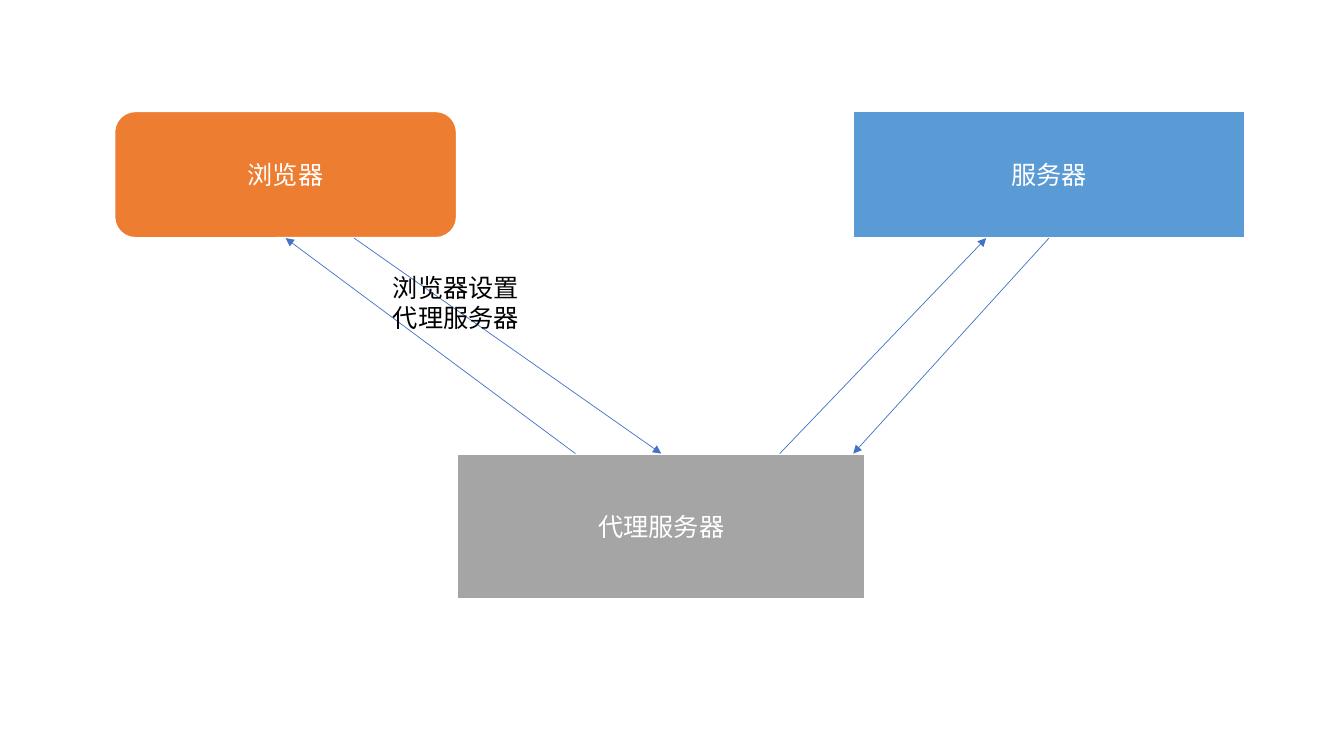
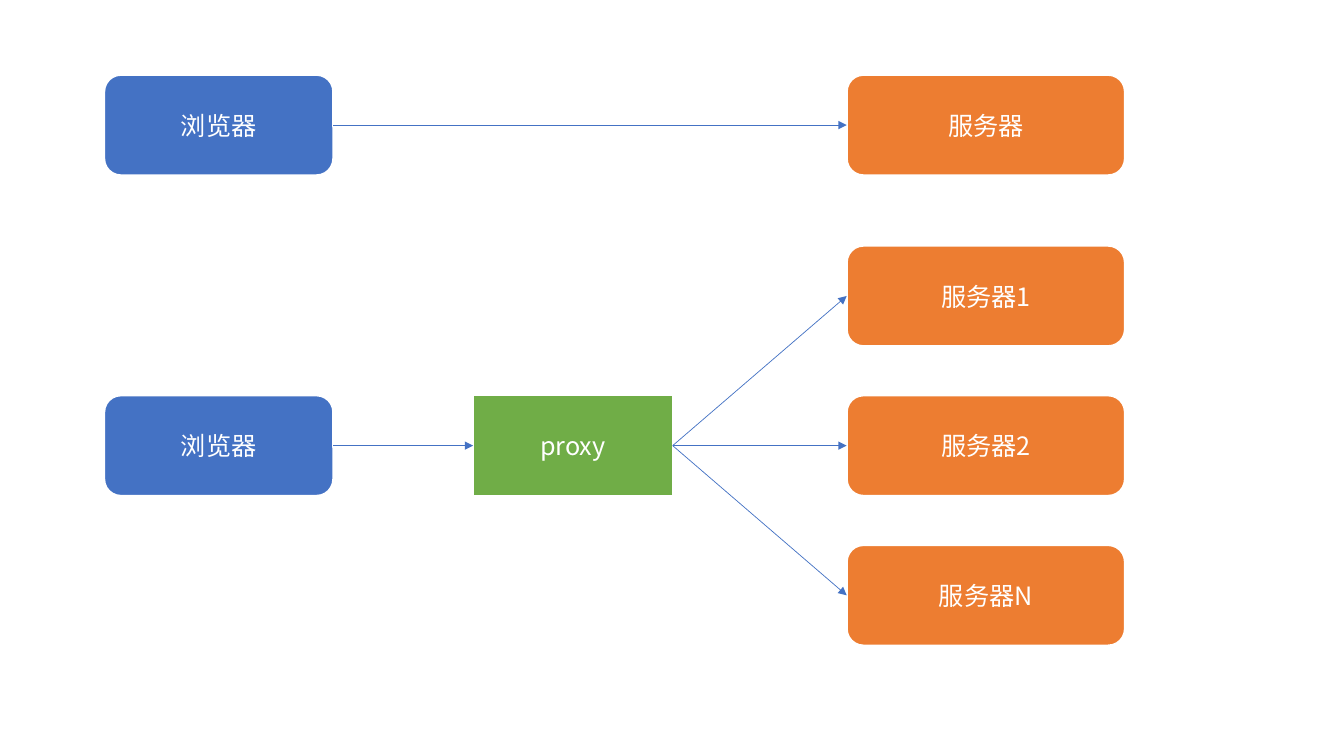
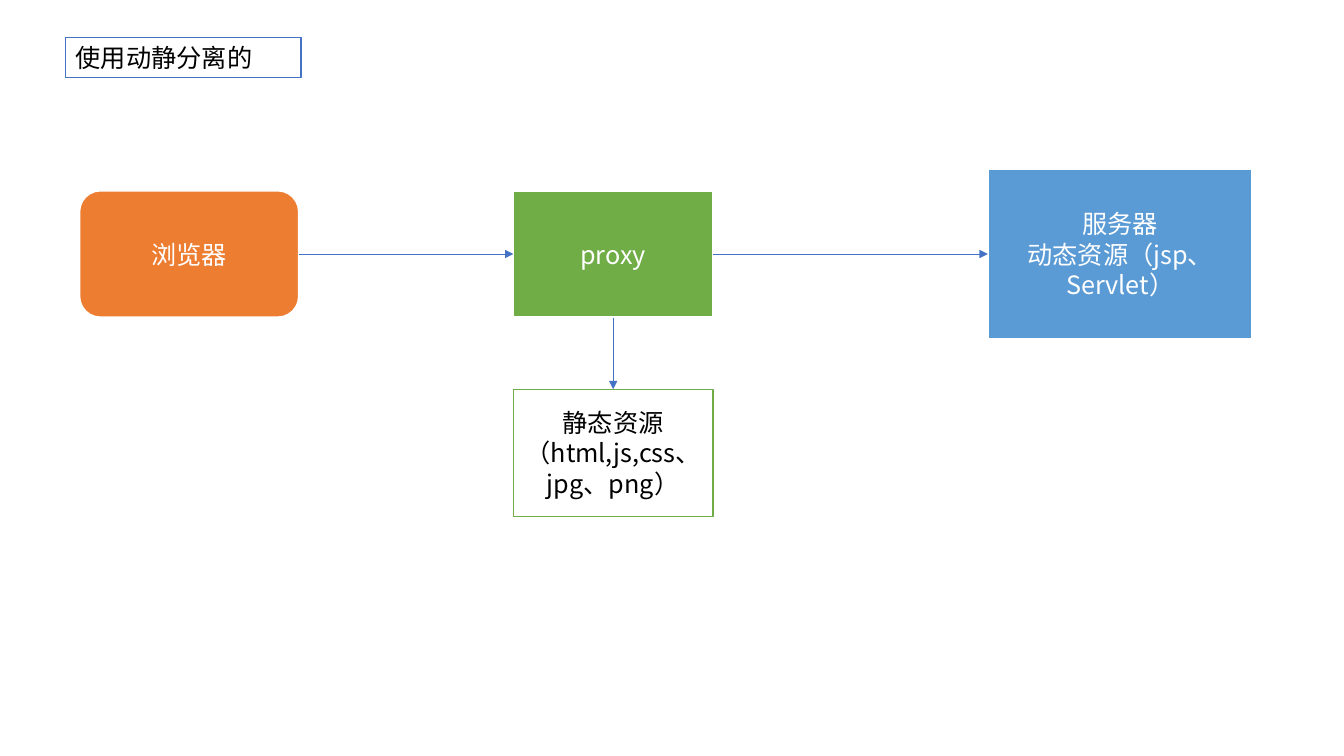
from dataclasses import dataclass
from itertools import pairwise
from typing import Optional

from lxml.etree import SubElement
from pptx import Presentation
from pptx.dml.color import RGBColor as Rgb
from pptx.enum.lang import MSO_LANGUAGE_ID as Lang
from pptx.enum.shapes import MSO_CONNECTOR as Link, MSO_SHAPE as Kind
from pptx.enum.text import MSO_ANCHOR as Anchor, MSO_AUTO_SIZE as Fit, PP_ALIGN as Align
from pptx.oxml.ns import qn
from pptx.util import Inches, Pt

WIDE, HIGH = Inches(13.33), Inches(7.5)
FACE = "Noto Sans CJK SC"
HUES = {
    "white": "FFFFFF", "black": "000000", "blue": "4472C4", "sky": "5B9BD5",
    "orange": "ED7D31", "gray": "A5A5A5", "green": "70AD47",
}
FONT = {"size": Pt(18), "name": FACE, "language_id": Lang.SIMPLIFIED_CHINESE}
MID = {"vertical_anchor": Anchor.MIDDLE, "word_wrap": True}
TOP = {"vertical_anchor": Anchor.TOP, "word_wrap": True, "auto_size": Fit.SHAPE_TO_FIT_TEXT}
LOOSE = TOP | {"word_wrap": False}


@dataclass(frozen=True)
class Look:
    fill: Optional[str] = None
    line: Optional[str] = "white"
    width: float = 1.5
    ink: str = "white"
    kind: Kind = Kind.RECTANGLE
    align: Align = Align.CENTER


@dataclass(frozen=True)
class Box:
    """A labelled block; lengths are percent of the slide's width and height."""
    text: str
    x: float
    y: float
    w: float
    h: float
    look: Look

    def spot(self, across: float, down: float) -> tuple[float, float]:
        return self.x + self.w * across, self.y + self.h * down


@dataclass(frozen=True)
class Arrow:
    """An arrow between two boxes; each end is a share of its box."""
    tail: Box
    start: tuple[float, float]
    head: Box
    end: tuple[float, float]


LEFT, RIGHT, UPPER, LOWER = (0, 0.5), (1, 0.5), (0.5, 0), (0.5, 1)


def block(hue: str, kind: Kind = Kind.RECTANGLE) -> Look:
    return Look(hue, kind=kind)


def pill(hue: str) -> Look:
    return block(hue, Kind.ROUNDED_RECTANGLE)


def rgb(hue: str) -> Rgb:
    return Rgb.from_string(HUES[hue])


def px(share: float) -> int:
    return round(WIDE * share / 100)


def py(share: float) -> int:
    return round(HIGH * share / 100)


def write(frame, text: str, look: Look, form: dict) -> None:
    for key, val in form.items():
        setattr(frame, key, val)
    frame.text = text
    for para in frame.paragraphs:
        para.alignment = look.align
        for run in para.runs:
            for key, val in FONT.items():
                setattr(run.font, key, val)
            run.font.color.rgb = rgb(look.ink)
            SubElement(run.font._element, qn("a:ea")).set("typeface", FACE)


def draw(slide, box: Box, form: dict = MID) -> None:
    look = box.look
    area = px(box.x), py(box.y), px(box.w), py(box.h)
    if look.line is None:
        shape = slide.shapes.add_textbox(*area)
    else:
        shape = slide.shapes.add_shape(look.kind, *area)
        shape.shadow.inherit = False
        shape.line.color.rgb = rgb(look.line)
        shape.line.width = Pt(look.width)
        if look.fill:
            shape.fill.solid()
            shape.fill.fore_color.rgb = rgb(look.fill)
        else:
            shape.fill.background()
    write(shape.text_frame, box.text, look, form)


def join(slide, arrow: Arrow) -> None:
    (x1, y1), (x2, y2) = arrow.tail.spot(*arrow.start), arrow.head.spot(*arrow.end)
    line = slide.shapes.add_connector(Link.STRAIGHT, px(x1), py(y1), px(x2), py(y2))
    line.line.color.rgb = rgb("blue")
    line.line.width = Pt(0.5)
    prop = line._element.spPr
    SubElement(prop.find(qn("a:ln")), qn("a:tailEnd")).set("type", "triangle")
    SubElement(prop, qn("a:effectLst"))


def chart(deck, boxes: list[Box], arrows: list[Arrow]):
    """Add a blank slide holding the boxes and the arrows between them."""
    slide = deck.slides.add_slide(deck.slide_layouts[6])
    for box in boxes:
        draw(slide, box)
    for arrow in arrows:
        join(slide, arrow)
    return slide


def forward(deck) -> None:
    client = Box("浏览器", 8.5, 14.7, 25.5, 16.8, pill("orange"))
    server = Box("服务器", 63.45, 14.7, 29.2, 16.8, block("sky"))
    proxy = Box("代理服务器", 34, 60, 30.4, 19.2, block("gray"))
    slide = chart(deck, [client, server, proxy], [
        Arrow(client, (0.7, 1), proxy, UPPER),
        Arrow(proxy, (0.29, 0), client, LOWER),
        Arrow(proxy, (0.79, 0), server, (0.34, 1)),
        Arrow(server, LOWER, proxy, (0.97, 0)),
    ])
    plain = Look(line=None, ink="black", align=Align.LEFT)
    draw(slide, Box("浏览器设置\n代理服务器", 28.5, 35.35, 10.95, 9.5, plain), LOOSE)


def balance(deck) -> None:
    first, mid, step, tall = 9.9, 52.3, 19.8, 13.3
    clients = [Box("浏览器", 7.75, y, 17.05, tall, pill("blue")) for y in (first, mid)]
    proxy = Box("proxy", 35.2, mid, 14.85, tall, block("green"))
    rows = [("", first)] + [(mark, mid + step * n) for n, mark in zip((-1, 0, 1), "12N")]
    single, *pool = [Box(f"服务器{mark}", 63, y, 20.7, tall, pill("orange"))
                     for mark, y in rows]
    pairs = [(clients[0], single), (clients[1], proxy)] + [(proxy, box) for box in pool]
    chart(deck, [*clients, proxy, single, *pool],
          [Arrow(a, RIGHT, b, LEFT) for a, b in pairs])


def split(deck) -> None:
    client = Box("浏览器", 5.9, 25.2, 16.35, 16.8, pill("orange"))
    proxy = Box("proxy", 38.2, 25.2, 14.85, 16.8, block("green"))
    server = Box("服务器\n动态资源（jsp、Servlet）", 73.5, 22.4, 19.7, 22.4, block("sky"))
    files = Box("静态资源（html,js,css、jpg、png）", 38.2, 51.5, 14.85, 16.8,
                Look("white", "green", 1, "black"))
    flow = [Arrow(a, RIGHT, b, LEFT) for a, b in pairwise((client, proxy, server))]
    slide = chart(deck, [client, proxy, server, files],
                  flow + [Arrow(proxy, LOWER, files, UPPER)])
    frame = Look(None, "blue", 0.75, "black", align=Align.LEFT)
    draw(slide, Box("使用动静分离的", 4.9, 4.9, 17.5, 5.35, frame), TOP)


def main() -> None:
    deck = Presentation()
    deck.slide_width, deck.slide_height = WIDE, HIGH
    for build in (forward, balance, split):
        build(deck)
    deck.save("out.pptx")


if __name__ == "__main__":
    main()
